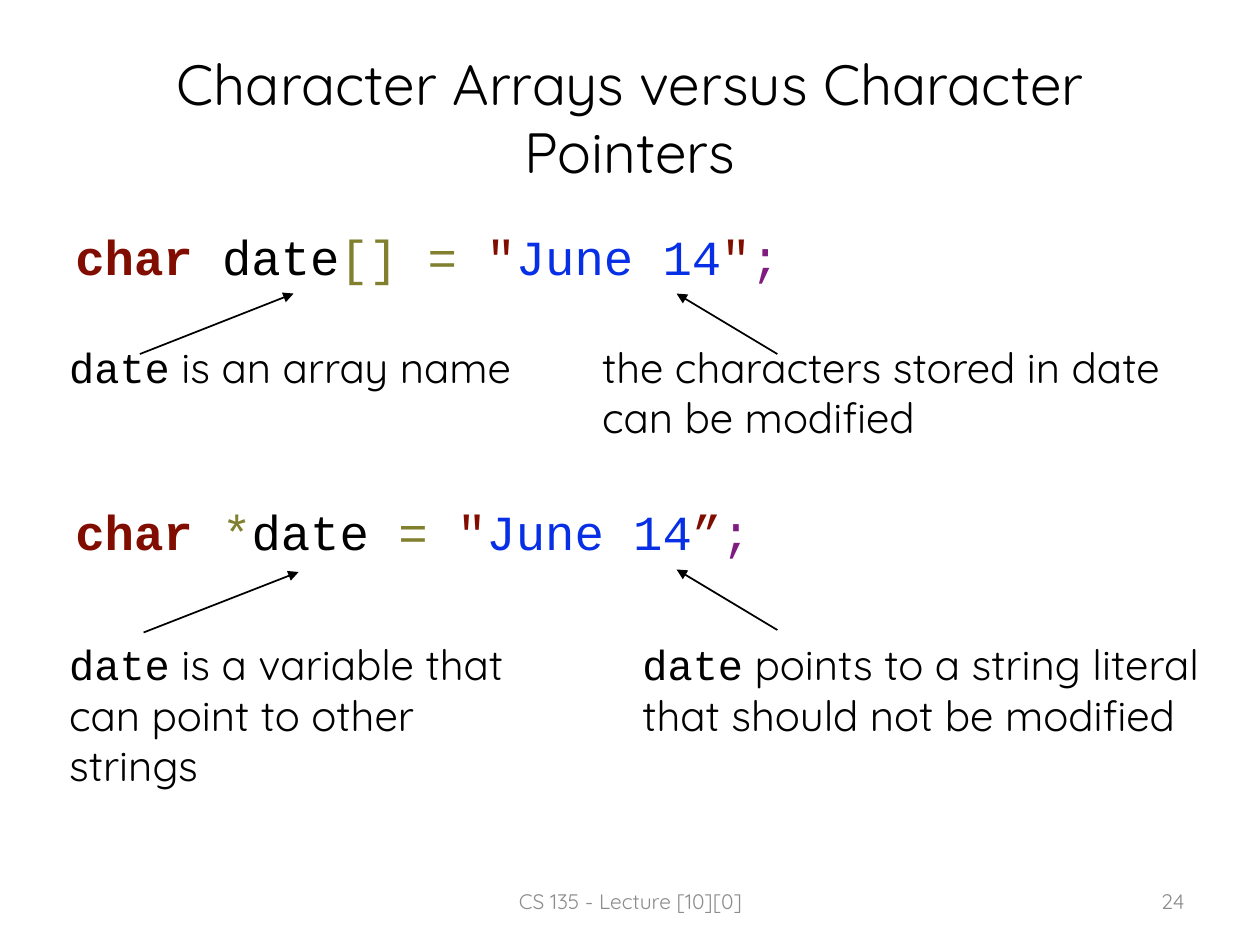
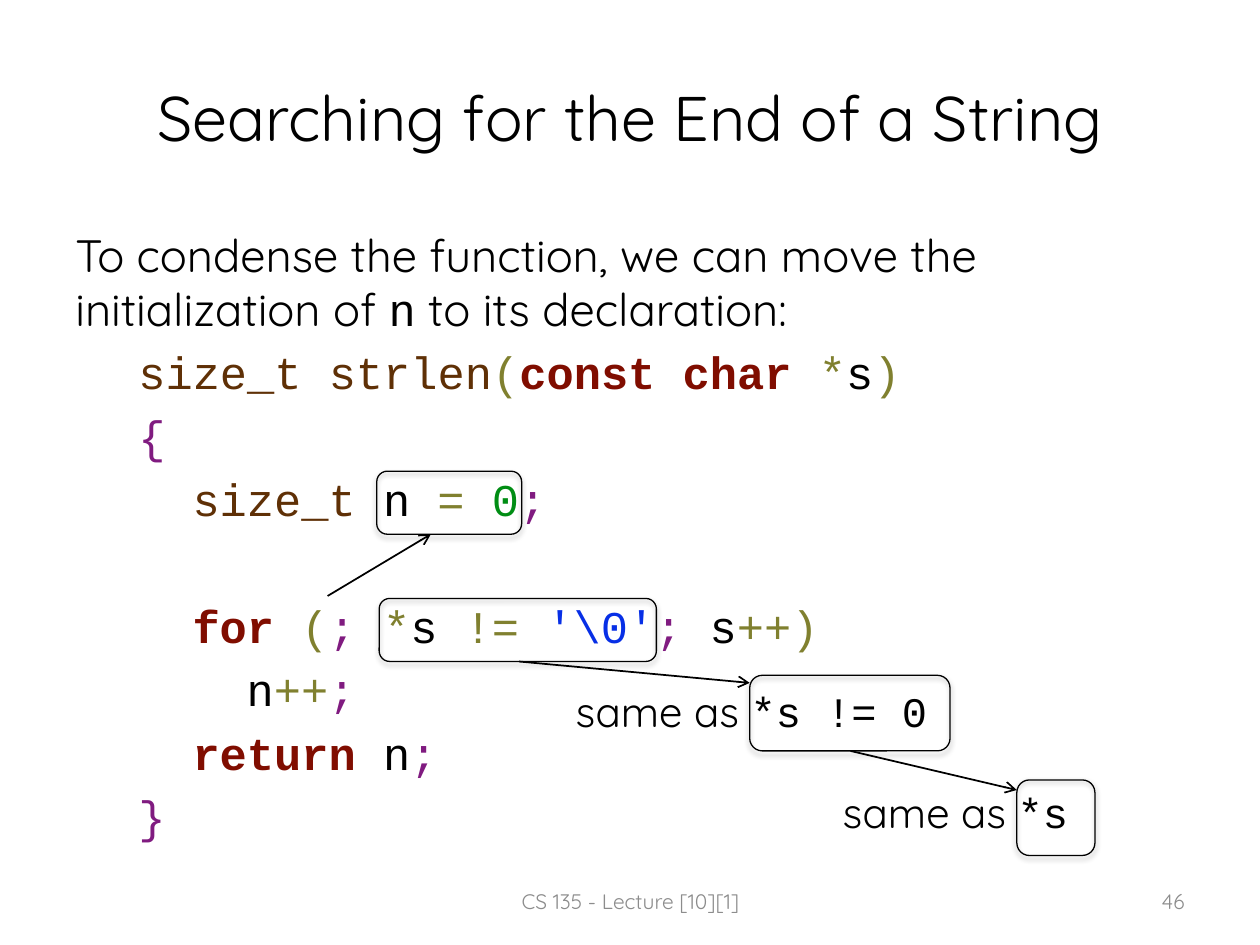
"""Build two lecture slides on C strings: arrays versus pointers, and strlen."""
from dataclasses import dataclass

from lxml import etree
from pptx import Presentation, util as u
from pptx.dml.color import RGBColor
from pptx.enum import shapes, text
from pptx.oxml.ns import qn


@dataclass(frozen=True)
class Theme:
    sans: str = "Quicksand"
    mono: str = "Courier New"
    black: str = "000000"
    grey: str = "8C8C8C"
    keyword: str = "800D00"
    operator: str = "80802F"
    string: str = "072FE6"
    punct: str = "801B80"
    type: str = "5F3006"
    number: str = "008D14"
    footer: float = 12
    note: float = 24
    code: float = 28
    body: float = 25.9


T = Theme()
STYLES = {
    "sans": (T.sans, T.black, False),
    "footer": (T.sans, T.grey, False),
    "mono": (T.mono, T.black, False),
    "key": (T.mono, T.keyword, True),
    "quote": (T.mono, T.keyword, False),
    "op": (T.mono, T.operator, False),
    "str": (T.mono, T.string, False),
    "end": (T.mono, T.punct, False),
    "type": (T.mono, T.type, False),
    "num": (T.mono, T.number, False),
}


def add_text(s, box, paragraphs, size, align=text.PP_ALIGN.LEFT, anchor=text.MSO_ANCHOR.TOP):
    """Add a text box of (space before, left indent, runs) paragraphs."""
    tf = s.shapes.add_textbox(*map(u.Inches, box)).text_frame
    tf.word_wrap = True
    tf.vertical_anchor = anchor
    for i, (before, indent, runs) in enumerate(paragraphs):
        p = tf.add_paragraph() if i else tf.paragraphs[0]
        p.alignment = align
        p.space_before = u.Pt(before)
        p.font.size = u.Pt(size)
        if indent:
            p._p.get_or_add_pPr().set("marL", str(u.Inches(indent)))
        for words, style in runs:
            r = p.add_run()
            r.text = words
            r.font.size = u.Pt(size)
            r.font.name, color, r.font.bold = STYLES[style]
            r.font.color.rgb = RGBColor.from_string(color)


def add_arrow(s, start, end, head):
    """Add a thin black arrow pointing at end."""
    cx = s.shapes.add_connector(shapes.MSO_CONNECTOR.STRAIGHT, *map(u.Inches, start + end))
    cx.line.width = u.Pt(1)
    cx.line.color.rgb = RGBColor.from_string(T.black)
    etree.SubElement(cx.line._get_or_add_ln(), qn("a:tailEnd"), type=head)
    etree.SubElement(cx._element.spPr, qn("a:effectLst"))


prs = Presentation()
prs.slide_width, prs.slide_height = u.Inches(10), u.Inches(7.5)

slides = []
for title, size, footer, number in [
    ("Character Arrays versus Character Pointers", 32.4, "CS 135 - Lecture [10][0]", "24"),
    ("Searching for the End of a String", 36, "CS 135 - Lecture [10][1]", "46"),
]:
    s = prs.slides.add_slide(prs.slide_layouts[5])
    sp = s.shapes.title
    sp.left, sp.top, sp.width, sp.height = map(u.Inches, (0.5, 0.3, 9, 1.25))
    tf = sp.text_frame
    tf.text = title
    tf.auto_size = text.MSO_AUTO_SIZE.NONE
    tf.vertical_anchor = text.MSO_ANCHOR.MIDDLE
    p = tf.paragraphs[0]
    p.alignment = text.PP_ALIGN.CENTER
    p.font.name, p.font.size = T.sans, u.Pt(size)
    p.font.color.rgb = RGBColor.from_string(T.black)
    for box, words, align in [
        ((3.42, 6.95, 3.17, 0.4), footer, text.PP_ALIGN.CENTER),
        ((7.17, 6.95, 2.33, 0.4), number, text.PP_ALIGN.RIGHT),
    ]:
        add_text(s, box, [(0, 0, [(words, "footer")])], T.footer, align, text.MSO_ANCHOR.MIDDLE)
    slides.append(s)

body_box = (0.5, 1.75, 9, 4.95)
arrays, search = slides

june = [('"', "quote"), ("June 14", "str")]
add_text(arrays, body_box, [
    (6, 0, [("char", "key"), (" date", "mono"), ("[] = ", "op"), *june,
            ('"', "quote"), (";", "end")]),
    (123.4, 0, [("char ", "key"), ("*", "op"), ("date ", "mono"), ("= ", "op"), *june,
                ("”", "quote"), (";", "end")]),
], T.code)

date = ("date", "mono")
for box, runs, start, end in [
    ((4.68, 2.66, 5, 0.91), [("the characters stored in date can be modified", "sans")],
     (6.17, 2.81), (5.37, 2.33)),
    ((0.45, 2.66, 3.81, 0.5), [date, (" is an array name", "sans")],
     (1.11, 2.81), (2.33, 2.33)),
    ((0.45, 5.02, 3.81, 1.31), [date, (" is a variable that can point to other strings", "sans")],
     (1.14, 5.02), (2.37, 4.54)),
    ((5, 5.02, 5, 0.91),
     [date, (" points to a string literal that should not be modified", "sans")],
     (6.17, 5), (5.37, 4.52)),
]:
    add_text(arrays, box, [(0, 0, runs)], T.note)
    add_arrow(arrays, start, end, "triangle")

gap, blank_line_gap = 5.2, 41
outer, inner, nested = (0.5 + level * 0.43 for level in range(3))
add_text(search, body_box, [
    (gap, 0, [("To condense the function, we can move the initialization of ", "sans"),
              ("n", "mono"), (" to its declaration:", "sans")]),
    (gap, outer, [("size_t strlen", "type"), ("(", "op"), ("const char ", "key"), ("*", "op"),
                  ("s", "mono"), (")", "op")]),
    (gap, outer, [("{", "end")]),
    (gap, inner, [("size_t", "type"), (" n ", "mono"), ("= ", "op"), ("0", "num"), (";", "end")]),
    (blank_line_gap, inner, [("for ", "key"), ("(", "op"), ("; ", "end"), ("*", "op"),
                             ("s ", "mono"), ("!= ", "op"), (r"'\0'", "str"), (";", "end"),
                             (" s", "mono"), ("++)", "op")]),
    (gap, nested, [("n", "mono"), ("++", "op"), (";", "end")]),
    (gap, inner, [("return", "key"), (" n", "mono"), (";", "end")]),
    (gap, outer, [("}", "end")]),
], T.body)

for box, code in [((4.47, 5.39, 3.09, 0.5), "*s != 0"), ((6.59, 6.19, 2.44, 0.5), "*s")]:
    add_text(search, box, [(0, 0, [("same as ", "sans"), (code, "mono")])], T.note)

for box in [(2.99, 3.74, 1.15, 0.5), (3.01, 4.75, 2.2, 0.5),
            (5.95, 5.36, 1.59, 0.6), (8.07, 6.19, 0.62, 0.6)]:
    sp = search.shapes.add_shape(shapes.MSO_SHAPE.ROUNDED_RECTANGLE, *map(u.Inches, box))
    sp.fill.background()
    sp.line.width = u.Pt(0.75)
    sp.line.color.rgb = RGBColor.from_string(T.black)
    sp.shadow.inherit = False
    shadow = etree.SubElement(sp._element.spPr.find(qn("a:effectLst")), qn("a:outerShdw"),
                              blurRad=str(u.Pt(3.1)), dist=str(u.Pt(1.8)), dir="5400000",
                              rotWithShape="0")
    color = etree.SubElement(shadow, qn("a:srgbClr"), val=T.black)
    etree.SubElement(color, qn("a:alpha"), val="35000")

for start, end in [((2.6, 4.73), (3.42, 4.24)), ((4.12, 5.25), (5.95, 5.42)),
                   ((6.75, 5.96), (8.07, 6.27))]:
    add_arrow(search, start, end, "arrow")

prs.save("out.pptx")
